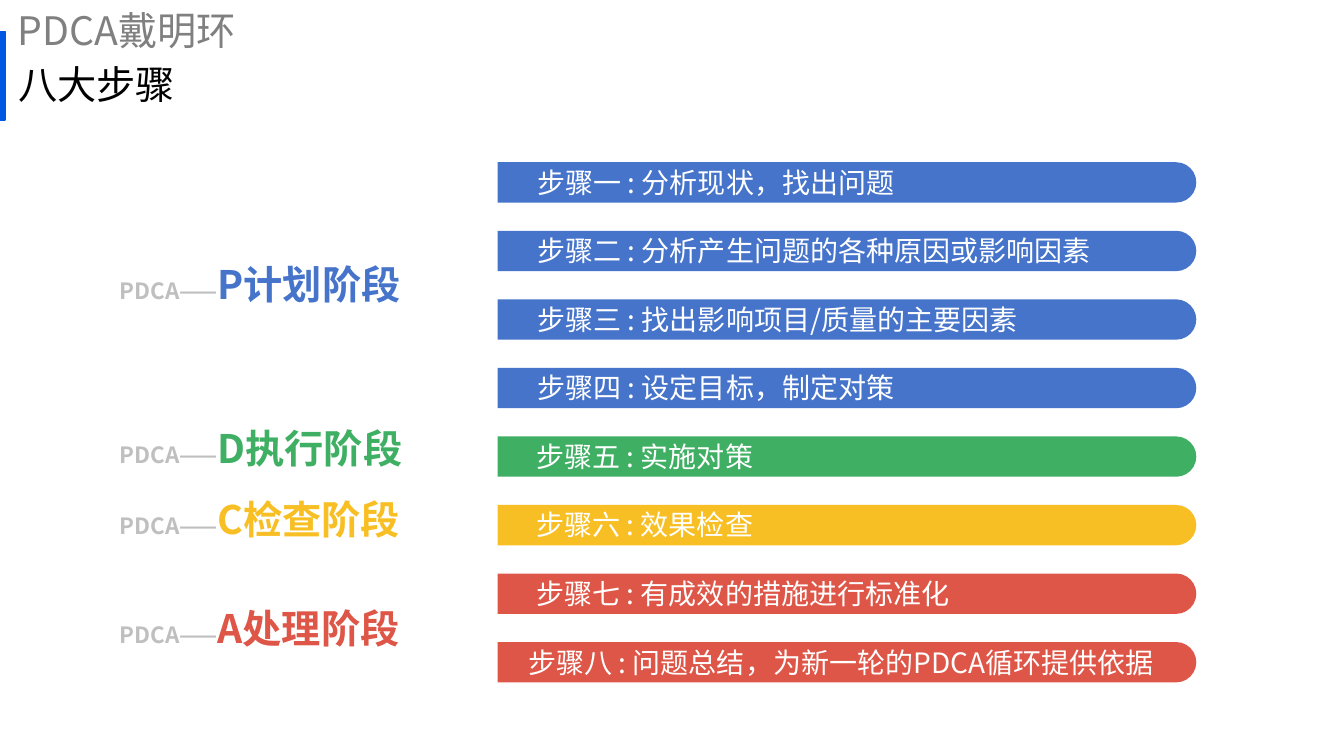
from lxml.etree import SubElement
from pptx import Presentation
from pptx.dml.color import RGBColor
from pptx.enum.shapes import MSO_SHAPE
from pptx.enum.text import MSO_ANCHOR, MSO_AUTO_SIZE, PP_ALIGN
from pptx.oxml.ns import qn
from pptx.util import Inches, Pt

COLORS = {"accent": "0057E1", "plan": "4674CA", "do": "3FAF63", "check": "F8BF24",
          "act": "DE5647", "prefix": "BFBFBF", "topic": "808080",
          "title": "000000", "white": "FFFFFF"}

STAGES = [("plan", "P计划阶段", 2.53, 3.21), ("do", "D执行阶段", 4.16, 3.24),
          ("check", "C检查阶段", 4.86, 3.11), ("act", "A处理阶段", 5.95, 3.19)]

STEPS = [("plan", 4.95, "步骤一 : 分析现状，找出问题"),
         ("plan", 4.95, "步骤二 : 分析产生问题的各种原因或影响因素"),
         ("plan", 4.95, "步骤三 : 找出影响项目/质量的主要因素"),
         ("plan", 4.95, "步骤四 : 设定目标，制定对策"),
         ("do", 4.94, "步骤五 : 实施对策"),
         ("check", 4.94, "步骤六 : 效果检查"),
         ("act", 4.94, "步骤七 : 有成效的措施进行标准化"),
         ("act", 4.86, "步骤八 : 问题总结，为新一轮的PDCA循环提供依据")]

FIRST_CENTER, STEP_PITCH = 1.81, 0.68
BAR_CENTER, BAR_LENGTH, BAR_HEIGHT = 8.4, 6.93, 0.4
TEXT_HEIGHT = 0.44


class SlideBuilder:
    """Holds the text style and the slide being built."""

    def __init__(self, page, font_name):
        self.page = page
        self.font_name = font_name

    def fill_text(self, box, pieces, frame_format, line_spacing=1.0):
        """Fill a box with one paragraph of (text, size, color, bold) pieces."""
        frame = box.text_frame
        for name, value in frame_format.items():
            setattr(frame, name, value)
        para = frame.paragraphs[0]
        para.alignment = PP_ALIGN.LEFT
        para.line_spacing = line_spacing
        for text, size, color, bold in pieces:
            span = para.add_run()
            span.text = text
            font_format = {"name": self.font_name, "size": Pt(size), "bold": bold}
            for name, value in font_format.items():
                setattr(span.font, name, value)
            span.font.color.rgb = RGBColor.from_string(COLORS[color])
            SubElement(span.font._element, qn("a:ea"), typeface=self.font_name)

    def text_box(self, left, top, width, height, pieces, frame_format, line_spacing=1.0):
        """Add a text box."""
        box = self.page.shapes.add_textbox(
            Inches(left), Inches(top), Inches(width), Inches(height))
        self.fill_text(box, pieces, frame_format, line_spacing)

    def shape(self, kind, left, top, width, height, color):
        """Add a filled shape without an outline."""
        shape = self.page.shapes.add_shape(
            kind, Inches(left), Inches(top), Inches(width), Inches(height))
        shape.shadow.inherit = False
        shape.fill.solid()
        shape.fill.fore_color.rgb = RGBColor.from_string(COLORS[color])
        shape.line.fill.background()
        return shape

    def headings(self, topic, title):
        """Add the accent bar, the topic and the slide title."""
        accent = self.shape(MSO_SHAPE.RECTANGLE, 0, 0.31, 0.05, 0.88, "accent")
        accent.line.color.rgb = RGBColor.from_string(COLORS["accent"])
        accent.line.width = Pt(1)
        heading_format = {"word_wrap": True, "auto_size": MSO_AUTO_SIZE.NONE,
                          "vertical_anchor": MSO_ANCHOR.MIDDLE}
        box = self.page.shapes.title
        place = {"left": 0.08, "top": 0.53, "width": 11.5, "height": 0.66}
        for name, value in place.items():
            setattr(box, name, Inches(value))
        self.fill_text(box, [(title, 28, "title", False)], heading_format, 0.9)
        self.text_box(0.08, 0, 11.5, 0.66, [(topic, 28, "topic", False)],
                      heading_format, 0.9)

    def stage(self, color, name, top, width):
        """Add the label of one stage."""
        self.text_box(1.09, top, width, 0.57,
                      [("PDCA——", 16, "prefix", True), (name, 28, color, True)],
                      {"word_wrap": False, "auto_size": MSO_AUTO_SIZE.SHAPE_TO_FIT_TEXT})

    def step(self, color, left, text, center):
        """Add the rounded bar of one step and its text."""
        bar = self.shape(MSO_SHAPE.ROUND_2_SAME_RECTANGLE, BAR_CENTER - BAR_HEIGHT / 2,
                         center - BAR_LENGTH / 2, BAR_HEIGHT, BAR_LENGTH, color)
        bar.rotation = 90
        bar.adjustments[0] = 0.5
        bar.adjustments[1] = 0
        self.text_box(left, center - TEXT_HEIGHT / 2, 7, TEXT_HEIGHT,
                      [(text, 20, "white", False)],
                      {"word_wrap": True, "margin_left": Inches(0.38), "margin_right": 0})


def main():
    """Build and save the deck."""
    deck = Presentation()
    deck.slide_width, deck.slide_height = Inches(13.33), Inches(7.5)
    page = deck.slides.add_slide(deck.slide_layouts[5])
    builder = SlideBuilder(page, "Noto Sans CJK SC")
    builder.headings("PDCA戴明环", "八大步骤")
    for stage in STAGES:
        builder.stage(*stage)
    for index, (color, left, text) in enumerate(STEPS):
        builder.step(color, left, text, FIRST_CENTER + index * STEP_PITCH)
    deck.save("out.pptx")


if __name__ == "__main__":
    main()
